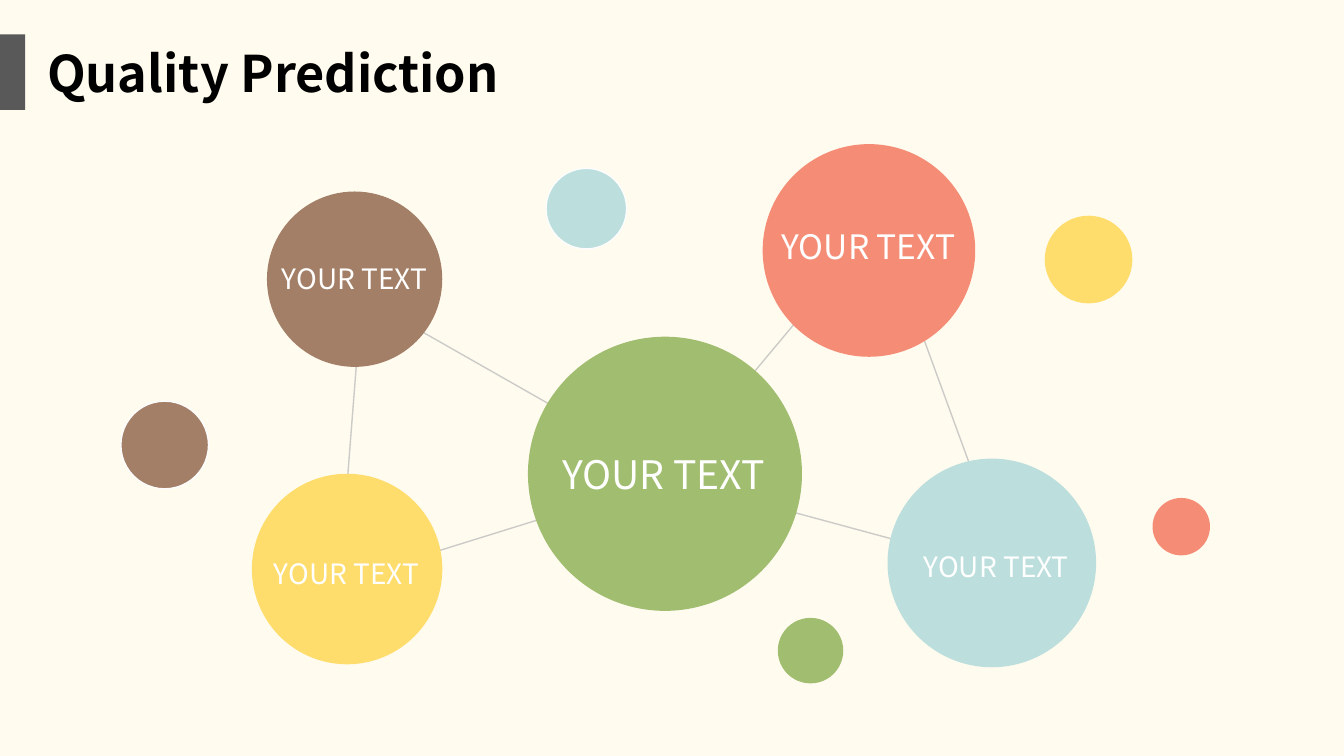
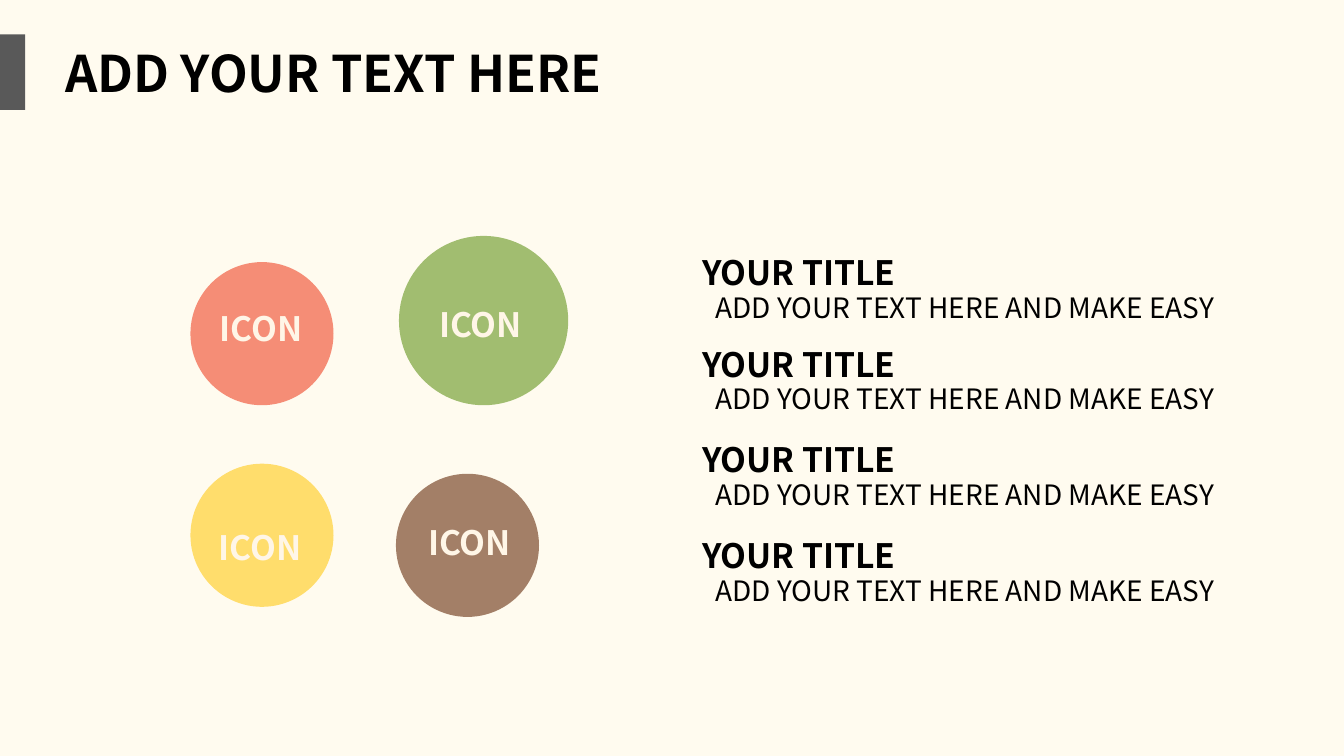
"""Build a two-slide deck of linked circles and titled icons."""
from dataclasses import dataclass, field
from typing import Any, NamedTuple

from lxml import etree
from pptx import Presentation
from pptx.dml import color
from pptx.enum import shapes, text
from pptx.oxml import ns
from pptx.util import Emu, Pt

PX = 9144


@dataclass(frozen=True)
class Theme:
    """Hold the colours, font and type sizes of the deck."""

    font: str = "Noto Sans CJK SC"
    paper: str = "FFFBEF"
    bar: str = "595959"
    link: str = "BFBFBF"
    rim: str = "FDFDFD"
    ink: str = "000000"
    white: str = "FFFFFF"
    cream: str = "FFF6E7"
    green: str = "A1BD70"
    brown: str = "A37F67"
    yellow: str = "FFDD6C"
    coral: str = "F58D76"
    aqua: str = "BCDFDD"
    title: int = 36
    hub: int = 28
    head: int = 24
    body: int = 20
    heights: dict[int, int] = field(default_factory=lambda: {36: 70, 28: 57, 24: 50, 20: 44})


T = Theme()


class Circle(NamedTuple):
    """Describe a filled circle by its corner and diameter."""

    x: int
    y: int
    d: int
    fill: str
    rim: str = ""


class Label(NamedTuple):
    """Describe a single line of text."""

    x: int
    y: int
    w: int
    words: str
    size: int
    ink: str
    bold: bool = False


LINKS = [(359, 295), (665, 469), (874, 219), (1001, 566), (665, 475), (337, 577)]
NODES = [
    Circle(250, 470, 189, T.yellow),
    Circle(265, 190, 174, T.brown),
    Circle(524, 334, 272, T.green),
    Circle(757, 143, 211, T.coral),
    Circle(881, 455, 207, T.aqua),
]
NODE_LABELS = [
    Label(x, y, w, "YOUR TEXT", size, T.white)
    for x, y, w, size in [
        (548, 442, 222, T.hub),
        (766, 219, 194, T.head),
        (270, 255, 165, T.body),
        (262, 547, 165, T.body),
        (907, 540, 165, T.body),
    ]
]
DOTS = [
    Circle(772, 613, 65, T.green),
    Circle(120, 398, 87, T.brown, T.rim),
    Circle(1037, 214, 87, T.yellow),
    Circle(1144, 494, 57, T.coral),
    Circle(542, 167, 80, T.aqua, T.rim),
]
ICONS = [
    Circle(189, 260, 142, T.coral),
    Circle(396, 234, 168, T.green),
    Circle(189, 460, 142, T.yellow),
    Circle(393, 470, 142, T.brown),
]
ICON_LABELS = [
    Label(x, y, 108, "ICON", T.head, T.cream, True)
    for x, y in [(208, 301), (426, 297), (415, 513), (207, 518)]
]
ENTRY_TOPS = [245, 336, 431, 526]


def px(*lengths: int) -> list[Emu]:
    """Turn px lengths into EMU."""
    return [Emu(n * PX) for n in lengths]


def rgb(code: str) -> color.RGBColor:
    """Return the colour for a hex code."""
    return color.RGBColor.from_string(code)


def add_solid(s: Any, kind: Any, box: tuple[int, ...], fill: str, rim: str = "") -> None:
    """Draw a filled preset shape with an optional rim."""
    sp = s.shapes.add_shape(kind, *px(*box))
    sp.shadow.inherit = False
    sp.fill.solid()
    sp.fill.fore_color.rgb = rgb(fill)
    if rim:
        sp.line.color.rgb = rgb(rim)
        sp.line.width = Pt(1)
    else:
        sp.line.fill.background()


def add_circles(s: Any, circles: list[Circle]) -> None:
    """Draw circles in order."""
    for c in circles:
        add_solid(s, shapes.MSO_SHAPE.OVAL, (c.x, c.y, c.d, c.d), c.fill, c.rim)


def add_labels(parent: Any, labels: list[Label]) -> None:
    """Write unwrapped labels on a slide or in a group."""
    for label in labels:
        box = px(label.x, label.y, label.w, T.heights[label.size])
        tf = parent.shapes.add_textbox(*box).text_frame
        tf.word_wrap = False
        tf.auto_size = text.MSO_AUTO_SIZE.SHAPE_TO_FIT_TEXT
        r = tf.paragraphs[0].add_run()
        r.text = label.words
        style = {"name": T.font, "size": Pt(label.size), "bold": label.bold}
        for name, value in style.items():
            setattr(r.font, name, value)
        r.font.color.rgb = rgb(label.ink)


def add_links(s: Any) -> None:
    """Draw the thin closed line that links the nodes."""
    fb = s.shapes.build_freeform(*LINKS[0], scale=PX)
    fb.add_line_segments(LINKS[1:], close=True)
    sp = fb.convert_to_shape()
    sp.shadow.inherit = False
    sp.fill.background()
    sp.line.color.rgb = rgb(T.link)
    sp.line.width = Pt(1)
    tint = sp.line._get_or_add_ln().find(".//" + ns.qn("a:srgbClr"))
    etree.SubElement(tint, ns.qn("a:alpha"), val="80000")


def add_header(s: Any, words: str, x: int, w: int) -> None:
    """Draw the side bar and the slide title."""
    add_solid(s, shapes.MSO_SHAPE.RECTANGLE, (0, 34, 25, 75), T.bar)
    add_labels(s, [Label(x, 37, w, words, T.title, T.ink, True)])


def add_entry(s: Any, top: int) -> None:
    """Group a heading with the line under it."""
    add_labels(s.shapes.add_group_shape(), [
        Label(700, top + 38, 528, "ADD YOUR TEXT HERE AND MAKE EASY", T.body, T.ink),
        Label(687, top, 212, "YOUR TITLE", T.head, T.ink, True),
    ])


def build_network(s: Any) -> None:
    """Build the slide of linked circles."""
    add_links(s)
    add_header(s, "Quality Prediction", 37, 473)
    add_circles(s, NODES)
    add_labels(s, NODE_LABELS)
    add_circles(s, DOTS)


def build_icons(s: Any) -> None:
    """Build the slide of icons and entries."""
    add_circles(s, ICONS)
    for top in ENTRY_TOPS:
        add_entry(s, top)
    add_labels(s, ICON_LABELS)
    add_header(s, "ADD YOUR TEXT HERE", 55, 556)


def main() -> None:
    """Build and save the deck."""
    prs = Presentation()
    prs.slide_width, prs.slide_height = px(1334, 750)
    paper = prs.slide_master.background.fill
    paper.solid()
    paper.fore_color.rgb = rgb(T.paper)
    for build in (build_network, build_icons):
        build(prs.slides.add_slide(prs.slide_layouts[6]))
    prs.save("out.pptx")


if __name__ == "__main__":
    main()
